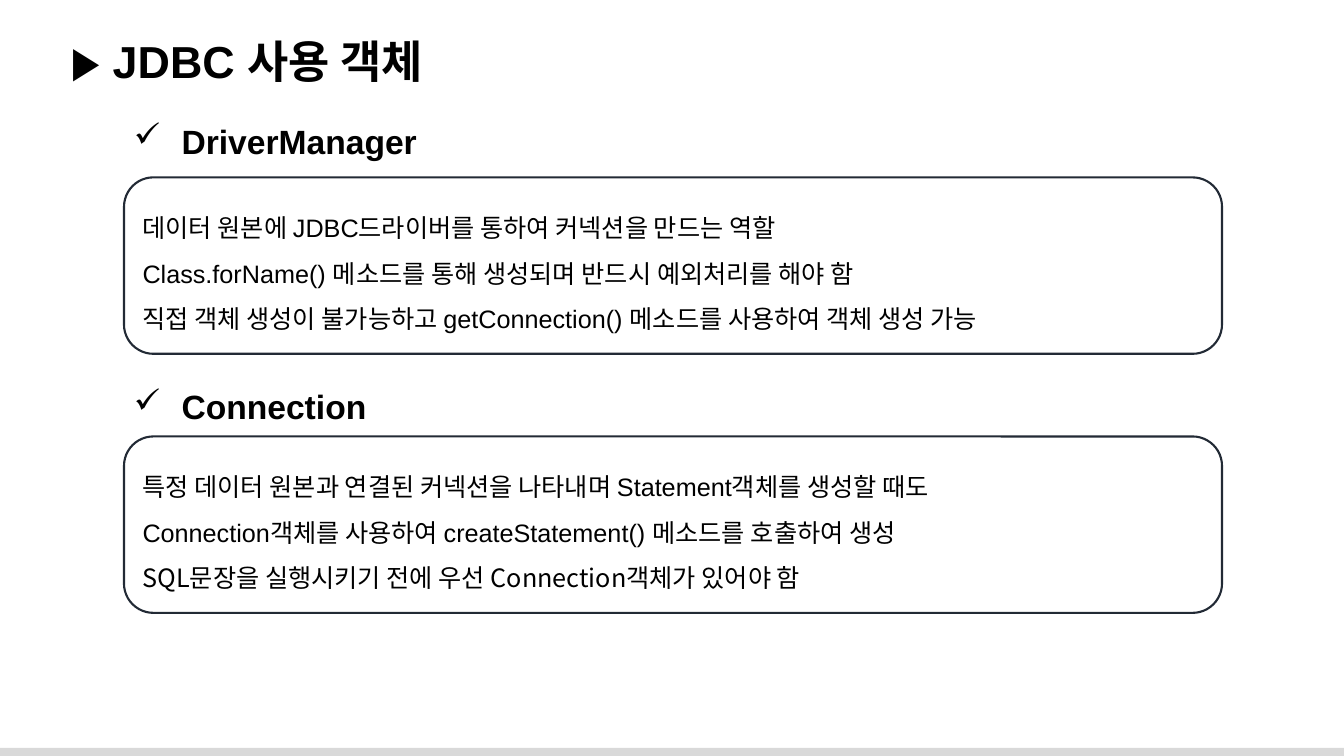
from lxml import etree
from pptx import Presentation
from pptx.dml.color import RGBColor
from pptx.enum import shapes, text
from pptx.oxml import ns
from pptx.util import Inches, Pt

BLACK = RGBColor(0, 0, 0)
NAVY = RGBColor(0x22, 0x2A, 0x35)
GRAY = RGBColor(0xD9, 0xD9, 0xD9)
LATIN, HANGUL = "Arial", "Noto Sans CJK KR"
LEFT = 1.23

# Each topic: heading, heading top, width, box top, lines with their fonts
TOPICS = [
    ("DriverManager", 1.15, 3.1, 1.76, [
        ("데이터 원본에 JDBC드라이버를 통하여 커넥션을 만드는 역할", LATIN),
        ("Class.forName() 메소드를 통해 생성되며 반드시 예외처리를 해야 함", LATIN),
        ("직접 객체 생성이 불가능하고 getConnection() 메소드를 사용하여 객체 생성 가능", LATIN),
    ]),
    ("Connection", 3.78, 2.52, 4.33, [
        ("특정 데이터 원본과 연결된 커넥션을 나타내며 Statement객체를 생성할 때도", LATIN),
        ("Connection객체를 사용하여 createStatement() 메소드를 호출하여 생성", LATIN),
        ("SQL문장을 실행시키기 전에 우선 Connection객체가 있어야 함", HANGUL),
    ]),
]


def write(para, words, size, bold=False, face=LATIN):
    run = para.add_run()
    run.text = words
    para.alignment = text.PP_ALIGN.LEFT
    font = para.font
    font.size, font.bold, font.name = Pt(size), bold, face
    font.color.rgb = BLACK
    # East Asian typeface for the Hangul
    props = run._r.get_or_add_rPr()
    etree.SubElement(props, ns.qn("a:ea"), typeface=HANGUL)


def check(para):
    props = para._p.get_or_add_pPr()
    props.set("marL", str(Inches(0.38)))
    props.set("indent", str(Inches(-0.38)))
    mark = etree.Element(ns.qn("a:buChar"), char="✓")
    props.insert(0, mark)


def add_title(slide, words):
    title = slide.shapes.title
    title.left, title.top = Inches(0.6), Inches(0.28)
    title.width, title.height = Inches(12.6), Inches(0.64)
    frame = title.text_frame
    frame.vertical_anchor = text.MSO_ANCHOR.TOP
    frame.auto_size = text.MSO_AUTO_SIZE.NONE
    write(frame.paragraphs[0], words, 32, True)


def add_head(slide, words, top, width):
    box = slide.shapes.add_textbox(
        Inches(LEFT), Inches(top), Inches(width), Inches(0.5))
    box.text_frame.word_wrap = False
    para = box.text_frame.paragraphs[0]
    write(para, " " + words, 24, True)
    check(para)


def add_box(slide, top, lines):
    box = slide.shapes.add_shape(
        shapes.MSO_SHAPE.ROUNDED_RECTANGLE,
        Inches(LEFT), Inches(top), Inches(10.89), Inches(1.75))
    box.shadow.inherit = False
    box.fill.background()
    box.line.color.rgb = NAVY
    box.line.width = Pt(1.5)
    frame = box.text_frame
    frame.word_wrap = True
    frame.vertical_anchor = text.MSO_ANCHOR.MIDDLE
    for i, (words, face) in enumerate(lines):
        para = frame.add_paragraph() if i else frame.paragraphs[0]
        para.line_spacing = 1.5
        write(para, words, 18, face=face)


def add_strip(slide):
    strip = slide.shapes.add_shape(
        shapes.MSO_SHAPE.RECTANGLE,
        Inches(-0.03), Inches(7.42), Inches(13.39), Inches(0.11))
    strip.shadow.inherit = False
    strip.fill.solid()
    strip.fill.fore_color.rgb = GRAY
    strip.line.fill.background()


def main():
    deck = Presentation()
    deck.slide_width, deck.slide_height = Inches(13.33), Inches(7.5)
    slide = deck.slides.add_slide(deck.slide_layouts.get_by_name("Title Only"))

    # Footer strip and title
    add_strip(slide)
    add_title(slide, "▶ JDBC 사용 객체")

    # Topics
    for head, top, width, below, lines in TOPICS:
        add_head(slide, head, top, width)
        add_box(slide, below, lines)

    deck.save("out.pptx")


if __name__ == "__main__":
    main()
